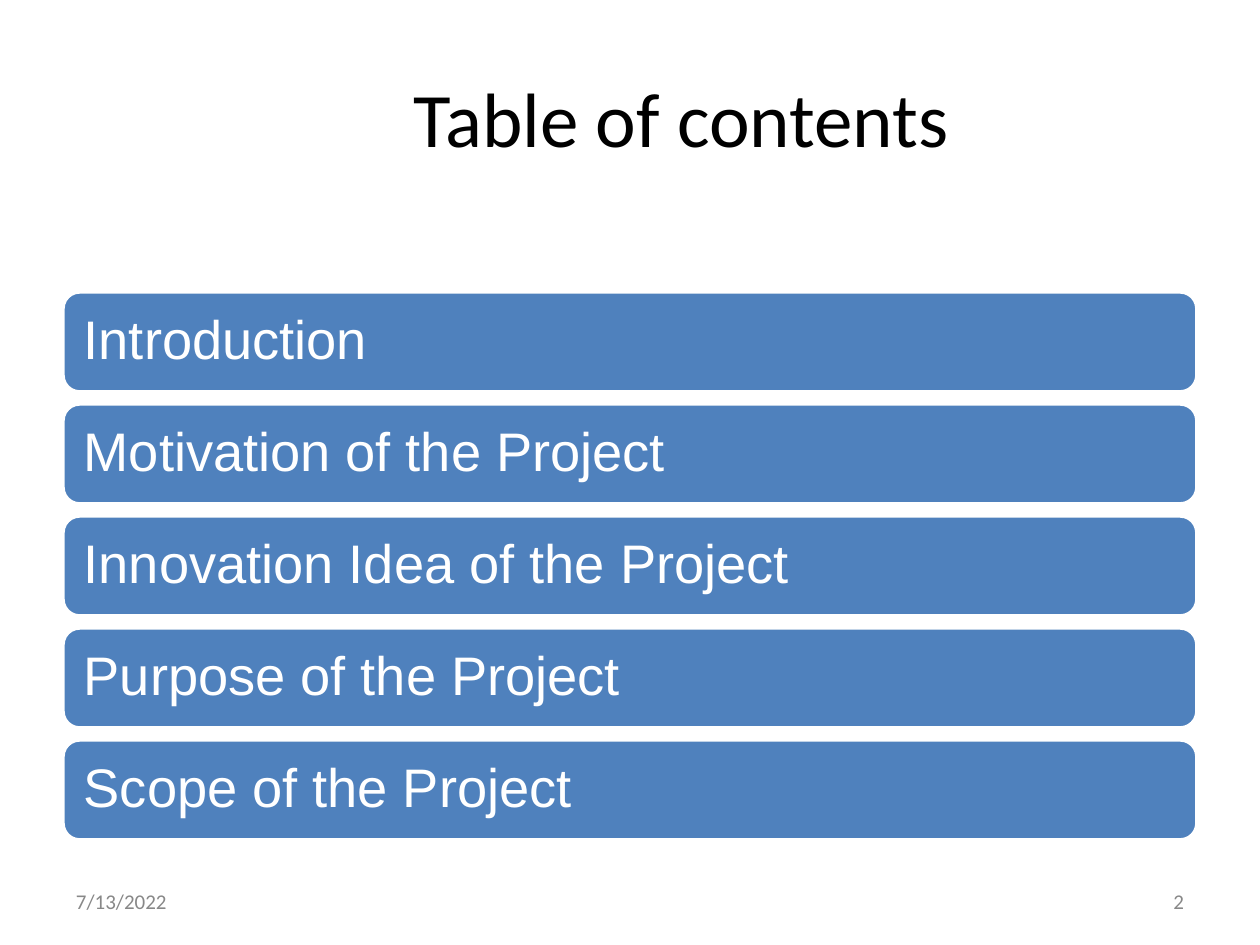
"""Build a table of contents slide with five stacked bars."""
import pptx
import pptx.dml.color
import pptx.enum.shapes
import pptx.enum.text
import pptx.util

ALIGN = pptx.enum.text.PP_ALIGN
TOPICS = [
    "Introduction",
    "Motivation of the Project",
    "Innovation Idea of the Project",
    "Purpose of the Project",
    "Scope of the Project",
]


def px(length):
    """Turn pixels into EMU at 126 pixels to the inch."""
    return pptx.util.Emu(round(length * 914400 / 126))


def color(value):
    """Turn a hex string into a color."""
    return pptx.dml.color.RGBColor.from_string(value)


class ContentsSlide:
    """Hold the style and the current slide."""

    heading_font = "Calibri"
    bar_font = "Arial"
    black = "000000"
    gray = "888888"
    white = "FFFFFF"
    blue = "4F81BD"

    def __init__(self, presentation):
        """Add a blank slide to the presentation."""
        self.slide = presentation.slides.add_slide(presentation.slide_layouts[6])

    def set_text(self, shape, text, font, size, ink, align, insets):
        """Fill a shape with one vertically centered paragraph."""
        frame = shape.text_frame
        frame.word_wrap = True
        frame.vertical_anchor = pptx.enum.text.MSO_ANCHOR.MIDDLE
        frame.margin_left, frame.margin_top, frame.margin_right, frame.margin_bottom = map(px, insets)
        paragraph = frame.paragraphs[0]
        paragraph.text = text
        paragraph.alignment = align
        paragraph.font.name = font
        paragraph.font.size = pptx.util.Pt(size)
        paragraph.font.color.rgb = color(ink)
        return paragraph

    def label(self, text, box, size, ink, align, left_inset=13):
        """Add a text box."""
        shape = self.slide.shapes.add_textbox(*map(px, box))
        self.set_text(shape, text, self.heading_font, size, ink, align, (left_inset, 6, 13, 6))

    def bar(self, text, box):
        """Add a rounded bar with its topic."""
        kind = pptx.enum.shapes.MSO_SHAPE.ROUNDED_RECTANGLE
        shape = self.slide.shapes.add_shape(kind, *map(px, box))
        shape.shadow.inherit = False
        shape.fill.solid()
        shape.fill.fore_color.rgb = color(self.blue)
        shape.line.color.rgb = color(self.white)
        shape.line.width = pptx.util.Pt(2)
        paragraph = self.set_text(shape, text, self.bar_font, 31, self.white, ALIGN.LEFT, (16, 16, 16, 16))
        paragraph.line_spacing = 0.9


def main():
    """Build and save the presentation."""
    presentation = pptx.Presentation()
    presentation.slide_width = px(1260)
    presentation.slide_height = px(945)
    contents = ContentsSlide(presentation)
    contents.label("Table of contents", (63, 38, 1134, 158), 44, contents.black, ALIGN.CENTER, left_inset=116)
    contents.label("7/13/2022", (63, 876, 294, 50), 12, contents.gray, ALIGN.LEFT)
    contents.label("2", (903, 876, 294, 50), 12, contents.gray, ALIGN.RIGHT)
    for index, topic in enumerate(TOPICS):
        contents.bar(topic, (63, 292 + 112 * index, 1134, 100))
    presentation.save("out.pptx")


if __name__ == "__main__":
    main()
